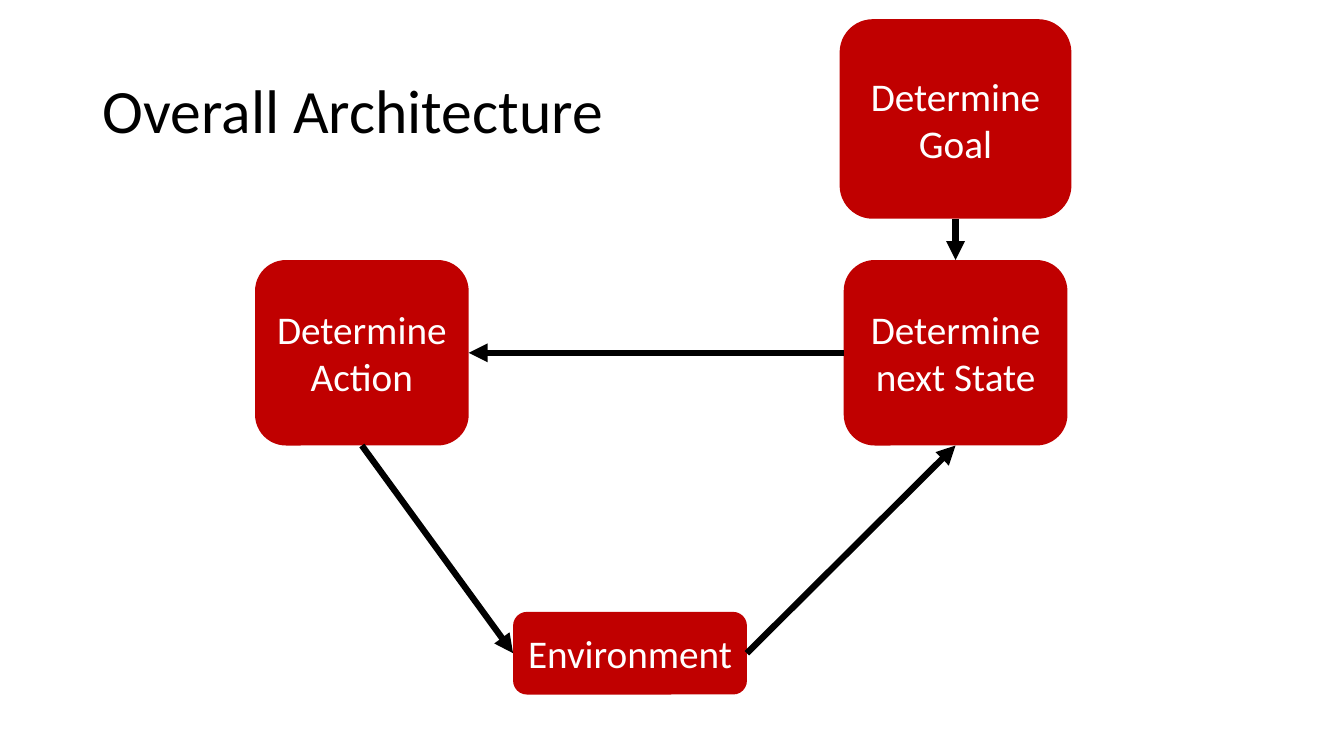
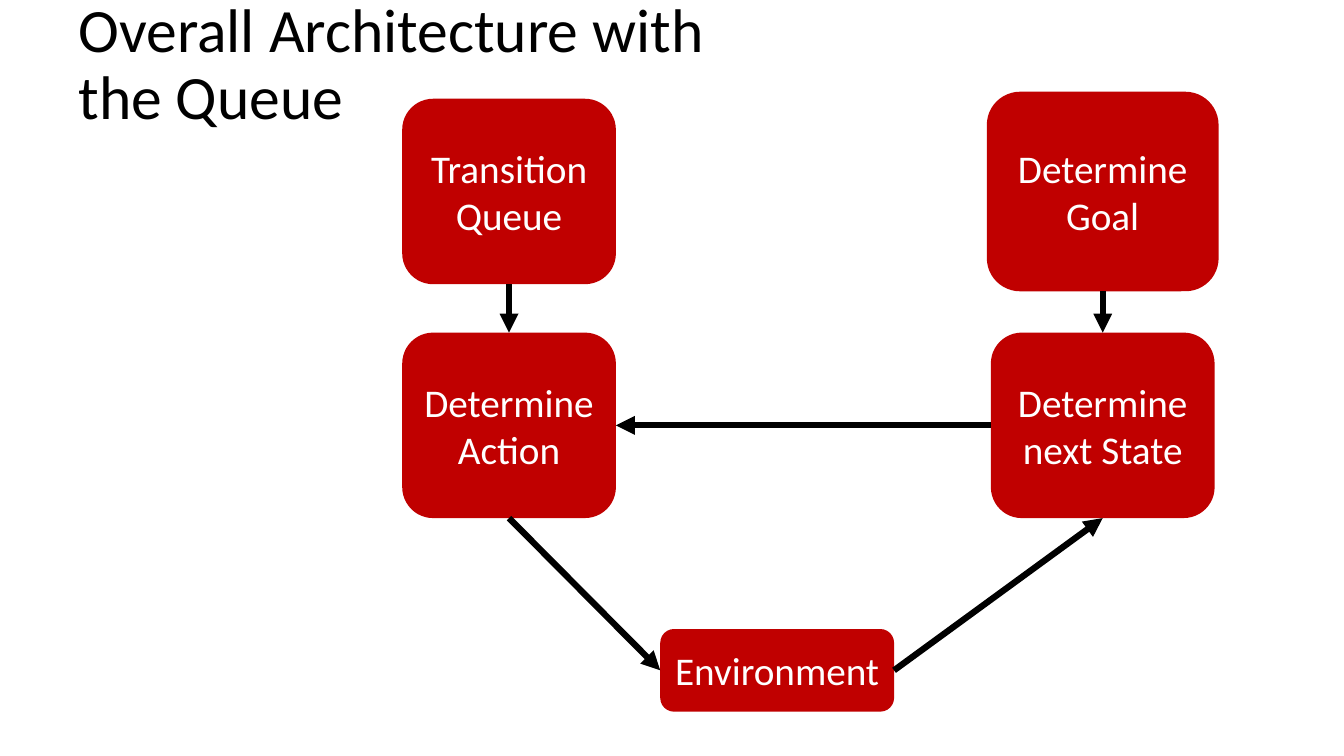
from lxml import etree
from pptx import Presentation
from pptx import util as u
from pptx.dml.color import RGBColor
from pptx.enum import shapes, text
from pptx.oxml.ns import qn

PX = 9144  # EMU per px, 100 px to the inch
COLORS = {"box": "C00000", "box_text": "FFFFFF", "ink": "000000"}
FONT = "Calibri"
TITLE_SIZE = (702, 145)
TOP, LEFT, BOTTOM, RIGHT = range(4)

# Boxes: label, column, row, width, height
BOXES = {
    "environment": ("Environment", "middle", "bottom", 232, 82),
    "state": ("Determine next State", "right", "center", 222, 184),
    "goal": ("Determine Goal", "right", "top", 230, 198),
    "action": ("Determine Action", "left", "center", 212, 184),
    "queue": ("Transition Queue", "left", "top", 212, 184),
}
COLUMNS = {"left": 359, "middle": 625, "right": 948}

# Arrows: from box and side, to box and side
ARROWS = [
    ("environment", RIGHT, "state", BOTTOM),
    ("goal", BOTTOM, "state", TOP),
    ("state", LEFT, "action", RIGHT),
    ("action", BOTTOM, "environment", LEFT),
    ("queue", BOTTOM, "action", TOP),
]

SLIDES = [
    {"title": "Overall Architecture", "title_at": (92, 40), "shift": 0,
     "rows": {"top": 118, "center": 350, "bottom": 648},
     "boxes": ["environment", "state", "goal", "action"]},
    {"title": "Overall Architecture with the Queue", "title_at": (68, -7), "shift": 146,
     "rows": {"top": 190, "center": 422, "bottom": 665},
     "boxes": ["environment", "state", "goal", "action", "queue"]},
]


def px(*lengths):
    return [u.Emu(round(length * PX)) for length in lengths]


def color(name):
    return RGBColor.from_string(COLORS[name])


def write(shape, words, size, ink, align=text.PP_ALIGN.LEFT, spacing=1.0):
    frame = shape.text_frame
    frame.word_wrap = True
    frame.vertical_anchor = text.MSO_ANCHOR.MIDDLE
    paragraph = frame.paragraphs[0]
    paragraph.text = words
    paragraph.alignment = align
    paragraph.line_spacing = spacing
    paragraph.font.name = FONT
    paragraph.font.size = u.Pt(size)
    paragraph.font.color.rgb = color(ink)


def add_title(slide, words, position):
    shape = slide.shapes.add_textbox(*px(*position, *TITLE_SIZE))
    write(shape, words, size=44, ink="ink", spacing=0.9)


def add_box(slide, name, rows, shift):
    label, column, row, width, height = BOXES[name]
    left = COLUMNS[column] + shift - width / 2
    top = rows[row] - height / 2
    shape = slide.shapes.add_shape(
        shapes.MSO_SHAPE.ROUNDED_RECTANGLE, *px(left, top, width, height))
    shape.shadow.inherit = False
    shape.fill.solid()
    shape.fill.fore_color.rgb = color("box")
    shape.line.fill.background()
    write(shape, label, size=28, ink="box_text", align=text.PP_ALIGN.CENTER)
    return shape


def add_arrow(slide, start, start_side, end, end_side):
    arrow = slide.shapes.add_connector(shapes.MSO_CONNECTOR.STRAIGHT, 0, 0, 0, 0)
    arrow.begin_connect(start, start_side)
    arrow.end_connect(end, end_side)
    arrow.line.color.rgb = color("ink")
    arrow.line.width = u.Pt(4.5)
    etree.SubElement(arrow.line._get_or_add_ln(), qn("a:tailEnd"), type="triangle")
    etree.SubElement(arrow._element.spPr, qn("a:effectLst"))


def main():
    presentation = Presentation()
    presentation.slide_width, presentation.slide_height = px(1333.33, 750)
    for content in SLIDES:
        slide = presentation.slides.add_slide(presentation.slide_layouts[6])
        add_title(slide, content["title"], content["title_at"])
        # Boxes first, then the arrows between those that are present
        boxes = {name: add_box(slide, name, content["rows"], content["shift"])
                 for name in content["boxes"]}
        for start, start_side, end, end_side in ARROWS:
            if start in boxes and end in boxes:
                add_arrow(slide, boxes[start], start_side, boxes[end], end_side)
    presentation.save("out.pptx")


if __name__ == "__main__":
    main()
